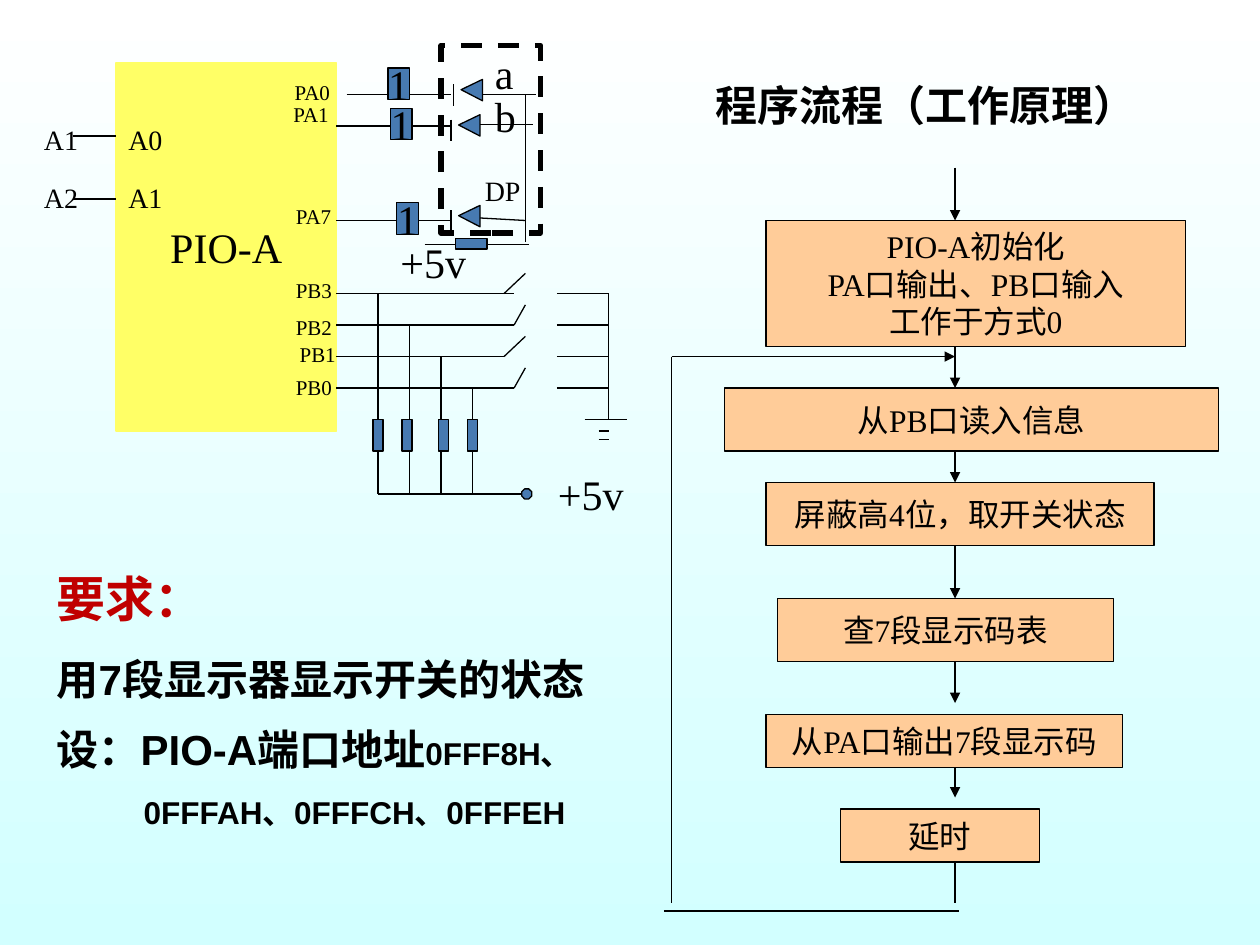
from dataclasses import dataclass

import pptx
import pptx.dml.color
import pptx.enum.dml
import pptx.enum.shapes
import pptx.enum.text
import pptx.oxml
import pptx.oxml.ns
import pptx.util

Inches = pptx.util.Inches
Pt = pptx.util.Pt
RGBColor = pptx.dml.color.RGBColor
Shape = pptx.enum.shapes.MSO_SHAPE
Align = pptx.enum.text.PP_ALIGN
Anchor = pptx.enum.text.MSO_ANCHOR

BLACK = RGBColor(0x00, 0x00, 0x00)
WHITE = RGBColor(0xFF, 0xFF, 0xFF)
PALE_CYAN = RGBColor(0xD2, 0xFF, 0xFF)
CHIP_YELLOW = RGBColor(0xFF, 0xFF, 0x66)
PART_BLUE = RGBColor(0x47, 0x7A, 0xB1)
STEP_ORANGE = RGBColor(0xFF, 0xCC, 0x99)
HEADING_RED = RGBColor(0xC0, 0x00, 0x00)
SERIF = "Times New Roman"
SANS = "Arial"
FLOW_X = 7.58
LOOP_X = 5.33


@dataclass
class Label:
    text: str
    left: float
    top: float
    width: float = 0.83
    size: float = 12


@dataclass
class Step:
    text: str
    left: float
    top: float
    width: float
    height: float
    exit_end: float


@dataclass
class Segment:
    """One LED segment line: its resistor box and its diode."""
    wire_left: float
    wire_y: float
    box_left: float
    box_top: float
    bar_x: float
    bar_top: float
    output_end: tuple


@dataclass
class Switch:
    wire_y: float
    hinge_x: float
    wire_end: float
    pull_up_x: float
    resistor_left: float


LABELS = [
    Label("PA0", 2.24, 0.58), Label("PA1", 2.23, 0.76), Label("PA7", 2.25, 1.57),
    Label("PB3", 2.25, 2.15), Label("PB2", 2.25, 2.45), Label("PB1", 2.28, 2.66),
    Label("PB0", 2.25, 2.92),
    Label("+5v", 4.33, 3.67, size=24), Label("+5v", 3.08, 1.83, size=24),
    Label("a", 3.83, 0.33, 0.25, 24), Label("b", 3.83, 0.67, 0.25, 24),
    Label("DP", 3.75, 1.33, 0.5, 16),
    Label("A1", 0.25, 0.92, 0.58, 16), Label("A2", 0.25, 1.38, 0.58, 16),
    Label("A0", 0.92, 0.92, 0.58, 16), Label("A1", 0.92, 1.38, 0.58, 16),
]
SEGMENTS = [
    Segment(2.75, 0.75, 3.08, 0.54, 3.6, 0.67, (4.25, 0.75)),
    Segment(2.67, 1, 3.1, 0.86, 3.58, 0.95, (4.23, 0.99)),
    Segment(2.67, 1.75, 3.15, 1.61, 3.58, 1.67, (4.17, 1.75)),
]
SWITCHES = [
    Switch(2.33, 4, 4.08, 3, 2.96), Switch(2.58, 4.08, 4.08, 3.25, 3.19),
    Switch(2.83, 4, 4, 3.5, 3.48), Switch(3.08, 4.08, 4.08, 3.75, 3.71),
]
STEPS = [
    Step("PIO-A初始化\nPA口输出、PB口输入\n工作于方式0", 6.08, 1.75, 3.33, 1, 3.08),
    Step("从PB口读入信息", 5.75, 3.08, 3.92, 0.5, 3.83),
    Step("屏蔽高4位，取开关状态", 6.08, 3.83, 3.08, 0.5, 4.75),
    Step("查7段显示码表", 6.17, 4.75, 2.67, 0.5, 5.58),
    Step("从PA口输出7段显示码", 6.08, 5.67, 2.83, 0.42, 6.33),
    Step("延时", 6.67, 6.42, 1.58, 0.42, 7.17),
]


def write(paragraph, text: str, *, size: float, font: str = SERIF, color=BLACK,
          bold: bool = False, align=Align.LEFT) -> None:
    paragraph.alignment = align
    run = paragraph.add_run()
    run.text = text
    run.font.size = Pt(size)
    run.font.name = font
    run.font.bold = bold
    run.font.color.rgb = color


def place(shape, left: float, top: float, width: float, height: float) -> None:
    shape.left, shape.top = Inches(left), Inches(top)
    shape.width, shape.height = Inches(width), Inches(height)


def draw_line(slide, x1: float, y1: float, x2: float, y2: float, arrow: bool = False) -> None:
    line = slide.shapes.add_connector(pptx.enum.shapes.MSO_CONNECTOR.STRAIGHT,
                                      Inches(x1), Inches(y1), Inches(x2), Inches(y2))
    line.line.color.rgb = BLACK
    line.line.width = Pt(0.75)
    if arrow:
        tail = pptx.oxml.parse_xml(
            f'<a:tailEnd {pptx.oxml.ns.nsdecls("a")} type="triangle"/>')
        line.line._get_or_add_ln().append(tail)
    line._element.spPr.append(
        pptx.oxml.parse_xml(f'<a:effectLst {pptx.oxml.ns.nsdecls("a")}/>'))


def draw_shape(slide, kind, left: float, top: float, width: float, height: float, *,
               fill=PART_BLUE, line=BLACK, text: str = "", size: float = 24):
    shape = slide.shapes.add_shape(kind, Inches(left), Inches(top), Inches(width), Inches(height))
    shape.shadow.inherit = False
    if fill is None:
        shape.fill.background()
    else:
        shape.fill.solid()
        shape.fill.fore_color.rgb = fill
    shape.line.color.rgb = line
    shape.line.width = Pt(0.75)
    if text:
        frame = shape.text_frame
        frame.word_wrap = False
        frame.vertical_anchor = Anchor.MIDDLE
        for index, row in enumerate(text.split("\n")):
            paragraph = frame.add_paragraph() if index else frame.paragraphs[0]
            write(paragraph, row, size=size, align=Align.CENTER)
    return shape


def draw_label(slide, label: Label) -> None:
    box = slide.shapes.add_textbox(Inches(label.left), Inches(label.top), Inches(label.width),
                                   Pt(label.size * 1.2 + 7.2))
    box.text_frame.word_wrap = True
    write(box.text_frame.paragraphs[0], label.text, size=label.size)


def draw_segment(slide, segment: Segment) -> None:
    draw_line(slide, segment.wire_left, segment.wire_y, 3.58, segment.wire_y)
    draw_shape(slide, Shape.RECTANGLE, segment.box_left, segment.box_top, 0.17, 0.25, text="1")
    draw_line(slide, segment.bar_x, segment.bar_top, segment.bar_x, segment.bar_top + 0.17)
    diode = draw_shape(slide, Shape.ISOSCELES_TRIANGLE, segment.bar_x + 0.06,
                       segment.bar_top - 0.04, 0.17, 0.17)
    diode.adjustments[0] = 0.52
    diode.rotation = 270
    end_x, end_y = segment.output_end
    draw_line(slide, segment.bar_x + 0.23, min(end_y, 1.73), end_x, end_y)


def draw_switch(slide, switch: Switch) -> None:
    y, x = switch.wire_y, switch.pull_up_x
    draw_line(slide, 2.67, y, switch.wire_end, y)
    draw_line(slide, switch.hinge_x, y, 4.17, y - 0.16)
    draw_line(slide, 4.42, y, 4.83, y)
    draw_line(slide, x, y, x, 3.33)
    draw_shape(slide, Shape.RECTANGLE, switch.resistor_left, 3.33, 0.08, 0.25)
    draw_line(slide, x, 3.58, x, 3.92)


def draw_circuit(slide) -> None:
    draw_shape(slide, Shape.RECTANGLE, 0.92, 0.5, 1.75, 2.92,
               fill=CHIP_YELLOW, line=CHIP_YELLOW, text="PIO-A")
    for segment in SEGMENTS:
        draw_segment(slide, segment)
    draw_line(slide, 4.17, 0.75, 4.17, 1.92)
    draw_line(slide, 3.37, 1.94, 3.62, 1.94)
    draw_shape(slide, Shape.RECTANGLE, 3.7, 1.81, 0.08, 0.25).rotation = 270
    draw_line(slide, 3.87, 1.94, 4.2, 1.94)
    for switch in SWITCHES:
        draw_switch(slide, switch)
    draw_line(slide, 3, 3.92, 4.17, 3.92)
    draw_shape(slide, Shape.OCTAGON, 4.14, 3.88, 0.08, 0.08)
    draw_line(slide, 4.83, 2.33, 4.83, 3.33)
    for left, right, y in [(4.64, 4.98, 3.33), (4.75, 4.83, 3.42), (4.75, 4.83, 3.49)]:
        draw_line(slide, left, y, right, y)
    for y in (1.08, 1.58):
        draw_line(slide, 0.58, y, 0.92, y)
    for label in LABELS:
        draw_label(slide, label)
    display = draw_shape(slide, Shape.RECTANGLE, 3.5, 0.36, 0.79, 1.49, fill=None)
    display.line.width = Pt(3)
    display.line.dash_style = pptx.enum.dml.MSO_LINE.DASH


def draw_flowchart(slide) -> None:
    draw_line(slide, FLOW_X, 1.33, FLOW_X, 1.75, arrow=True)
    for step in STEPS:
        draw_shape(slide, Shape.FLOWCHART_PROCESS, step.left, step.top, step.width, step.height,
                   fill=STEP_ORANGE, text=step.text, size=18)
        draw_line(slide, FLOW_X, step.top + step.height, FLOW_X, step.exit_end,
                  arrow=step is not STEPS[-1])
    draw_line(slide, 5.27, 7.23, 7.61, 7.23)
    draw_line(slide, LOOP_X, 2.83, LOOP_X, 7.17)
    draw_line(slide, LOOP_X, 2.83, FLOW_X, 2.83, arrow=True)


def fill_placeholders(slide) -> None:
    title, body = slide.shapes.title, slide.placeholders[1]
    place(title, 5.58, 0.58, 3.75, 0.5)
    place(body, 0.35, 4.46, 4.73, 2.19)
    for shape in (title, body):
        shape.text_frame.auto_size = pptx.enum.text.MSO_AUTO_SIZE.NONE
        shape.text_frame.vertical_anchor = Anchor.TOP
        shape.text_frame.word_wrap = True
    write(title.text_frame.paragraphs[0], "程序流程（工作原理）", size=24, bold=True)
    rows = [
        (0, 0, [("要求：", 28, HEADING_RED)]),
        (15, 0, [("用7段显示器显示开关的状态", 24, BLACK)]),
        (11.2, 0, [("设：PIO-A端口地址", 24, BLACK), ("0FFF8H、", 18, BLACK)]),
        (11.2, 0.69, [("0FFFAH、0FFFCH、0FFFEH", 18, BLACK)]),
    ]
    for index, (space, indent, runs) in enumerate(rows):
        paragraph = body.text_frame.add_paragraph() if index else body.text_frame.paragraphs[0]
        properties = paragraph._p.get_or_add_pPr()
        properties.set("marL", str(Inches(indent)))
        properties.set("indent", "0")
        properties.append(pptx.oxml.parse_xml(f'<a:buNone {pptx.oxml.ns.nsdecls("a")}/>'))
        paragraph.space_before = Pt(space)
        for text, size, color in runs:
            write(paragraph, text, size=size, font=SANS, color=color, bold=True)


def main() -> None:
    presentation = pptx.Presentation()
    presentation.slide_width, presentation.slide_height = Inches(10), Inches(7.5)
    slide = presentation.slides.add_slide(presentation.slide_layouts[1])
    background = slide.background.fill
    background.gradient()
    background.gradient_angle = 270
    for stop, color in zip(background.gradient_stops, (WHITE, PALE_CYAN)):
        stop.color.rgb = color
    fill_placeholders(slide)
    draw_circuit(slide)
    draw_flowchart(slide)
    presentation.save("out.pptx")


if __name__ == "__main__":
    main()
